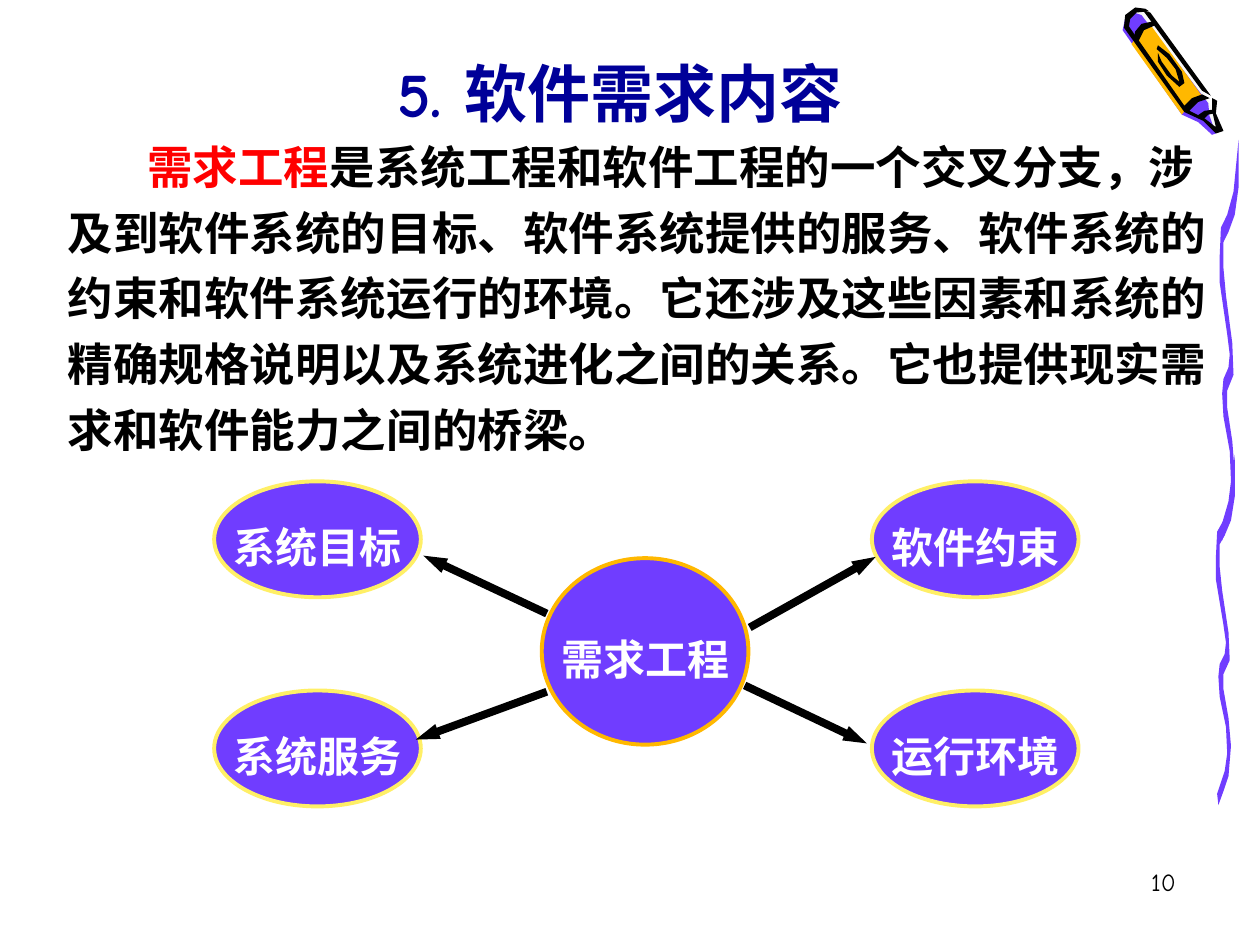
"""Build the slide on the content of software requirements."""
from lxml import etree
from pptx import Presentation
from pptx.dml.color import RGBColor
from pptx.enum.shapes import MSO_CONNECTOR, MSO_SHAPE
from pptx.enum.text import MSO_ANCHOR, PP_ALIGN
from pptx.oxml.ns import qn
from pptx.util import Inches, Pt

LEFT, CENTER, RIGHT = PP_ALIGN.LEFT, PP_ALIGN.CENTER, PP_ALIGN.RIGHT
TOP, MIDDLE, BOTTOM = MSO_ANCHOR.TOP, MSO_ANCHOR.MIDDLE, MSO_ANCHOR.BOTTOM
ELLIPSE, STRAIGHT = MSO_SHAPE.OVAL, MSO_CONNECTOR.STRAIGHT

THEME = {
    "violet": "703DFF", "amber": "FFB800", "yellow": "FFEF66",
    "navy": "000099", "red": "FF0000", "black": "000000",
    "white": "FFFFFF", "pale": "F8F8F8",
    "display": "Comic Neue", "cjk": "Noto Sans CJK SC", "serif": "Times New Roman",
    "title": 36, "body": 26, "node": 24, "number": 14,
    "outline": 2.25, "arrow": 4.5,
}

TITLE = "5. 软件需求内容"
NUMBER = "10"
KEY_TERM = "需求工程"
BODY = [
    "是系统工程和软件工程的一个交叉分支，涉",
    "及到软件系统的目标、软件系统提供的服务、软件系统的",
    "约束和软件系统运行的环境。它还涉及这些因素和系统的",
    "精确规格说明以及系统进化之间的关系。它也提供现实需",
    "求和软件能力之间的桥梁。",
]
TOPICS = [["系统目标", "软件约束"], ["系统服务", "运行环境"]]
TOPIC_X, TOPIC_Y, TOPIC_SIZE = (1.7, 6.92), (3.82, 5.48), (1.64, 0.92)
HUB = (4.3, 4.43, 1.64, 1.48)
ARROWS = [
    (5.95, 4.98, 6.95, 4.42), (5.91, 5.44, 6.88, 5.9),
    (4.34, 4.87, 3.36, 4.41), (4.34, 5.49, 3.3, 5.87),
]

RIBBON = [
    (0.01, 2.69), (0.07, 2.51), (0.09, 2.37), (0.08, 2.16), (0.03, 1.92),
    (0.02, 1.76), (0.03, 1.66), (0.07, 1.58), (0.08, 1.49), (0.06, 1.35),
    (0, 0.99), (0, 0.81), (0.01, 0.61), (0.06, 0.52), (0.11, 0.36),
    (0.15, 0), (0.15, 0.33), (0.12, 0.52), (0.07, 0.64), (0.03, 0.71),
    (0.03, 0.89), (0.05, 1.08), (0.1, 1.41), (0.11, 1.63), (0.06, 1.74),
    (0.06, 1.86), (0.1, 2.09), (0.12, 2.31), (0.1, 2.55), (0.06, 2.67),
    (0.02, 2.78),
]
RIBBON_PLACES = [(9.65, 3.61, 1), (9.68, 1.11, 1.144)]
CRAYON = [
    ("pale", [(9.68, 1.02), (9.63, 0.88), (9.52, 0.66), (9.09, 0.09), (9.02, 0.07),
              (8.96, 0.12), (8.94, 0.22), (9.41, 0.88), (9.56, 0.95), (9.66, 1.04)]),
    ("violet", [(9.06, 0.12), (9.59, 0.82), (9.6, 0.92), (9.65, 1.06), (9.62, 1.07),
                (9.51, 0.97), (9.38, 0.91), (8.91, 0.24), (8.93, 0.15), (9, 0.1)]),
    ("amber", [(8.98, 0.35), (9.38, 0.91), (9.46, 0.81), (9.56, 0.79), (9.14, 0.21),
               (9.05, 0.25)]),
    ("black", [(9.63, 0.87), (9.56, 0.88), (9.5, 0.92), (9.56, 0.94), (9.59, 0.91),
               (9.64, 0.9)]),
    ("black", [(9.09, 0.07), (9.01, 0.06), (8.93, 0.12), (8.92, 0.22), (9.4, 0.89),
               (9.55, 0.96), (9.65, 1.06), (9.71, 1.04), (9.65, 0.9), (9.66, 0.8),
               (9.62, 0.78), (9.62, 0.88), (9.65, 1.01), (9.56, 0.94), (9.44, 0.88),
               (9.51, 0.81), (9.6, 0.78), (9.54, 0.75), (9.46, 0.78), (9.4, 0.84),
               (8.96, 0.21), (8.97, 0.15), (9.02, 0.1), (9.12, 0.09)]),
    ("black", [(9.13, 0.1), (9.61, 0.76), (9.54, 0.72), (9.07, 0.08)]),
    ("black", [(9.15, 0.17), (9.06, 0.19), (9.01, 0.25), (9, 0.3), (9.03, 0.34),
               (9.08, 0.24), (9.17, 0.2)]),
    ("black", [(9.18, 0.39), (9.26, 0.46), (9.33, 0.55), (9.36, 0.65), (9.3, 0.6),
               (9.22, 0.49), (9.19, 0.42), (9.19, 0.49), (9.26, 0.6), (9.36, 0.69),
               (9.4, 0.66), (9.38, 0.57), (9.28, 0.43), (9.19, 0.36)]),
]


def color(name):
    return RGBColor.from_string(THEME[name])


def style(r, size, font, fill, bold=True):
    r.font.size = Pt(THEME[size])
    r.font.bold = bold
    r.font.color.rgb = color(fill)
    r.font.name = THEME[font]
    ea = etree.SubElement(r.font._element, qn("a:ea"))
    ea.set("typeface", THEME["cjk"])


def add_text(s, box, lines, size, font, fill, align=LEFT, anchor=TOP, bold=True):
    tf = s.shapes.add_textbox(*map(Inches, box)).text_frame
    tf.word_wrap = True
    tf.vertical_anchor = anchor
    tf.text = "\n".join(lines)
    for p in tf.paragraphs:
        p.alignment = align
        for r in p.runs:
            style(r, size, font, fill, bold)
    return tf


def add_outline(s, points, fill):
    start, *rest = [(Inches(x), Inches(y)) for x, y in points]
    fb = s.shapes.build_freeform(*start)
    fb.add_line_segments(rest, close=True)
    sp = fb.convert_to_shape()
    sp.shadow.inherit = False
    sp.fill.solid()
    sp.fill.fore_color.rgb = color(fill)
    sp.line.fill.background()


def add_node(s, box, text, line):
    sp = s.shapes.add_shape(ELLIPSE, *map(Inches, box))
    sp.shadow.inherit = False
    sp.fill.solid()
    sp.fill.fore_color.rgb = color("violet")
    sp.line.color.rgb = color(line)
    sp.line.width = Pt(THEME["outline"])
    tf = sp.text_frame
    tf.word_wrap = False
    tf.vertical_anchor = MIDDLE
    tf.text = text
    p = tf.paragraphs[0]
    p.alignment = CENTER
    p.line_spacing = 1.3
    style(p.runs[0], "node", "serif", "white")


def add_arrow(s, ends):
    c = s.shapes.add_connector(STRAIGHT, *map(Inches, ends))
    c.line.color.rgb = color("black")
    c.line.width = Pt(THEME["arrow"])
    ln = c.line._get_or_add_ln()
    etree.SubElement(ln, qn("a:tailEnd"), type="triangle", w="sm", len="med")
    etree.SubElement(c._element.spPr, qn("a:effectLst"))


def add_body(s):
    tf = add_text(s, (0.44, 1.01, 9.39, 2.67), BODY, "body", "cjk", "black")
    first, *others = tf.paragraphs
    first.text = KEY_TERM
    first.add_run().text = BODY[0]
    for r, fill in zip(first.runs, ("red", "black")):
        style(r, "body", "cjk", fill)
    first._p.get_or_add_pPr().set("indent", str(Inches(0.63)))
    for p in tf.paragraphs:
        p.line_spacing = 1.1
    for p in others:
        p.space_before = Pt(3.3)


def main():
    prs = Presentation()
    prs.slide_width, prs.slide_height = Inches(10), Inches(7.5)
    s = prs.slides.add_slide(prs.slide_layouts[6])
    for left, top, stretch in RIBBON_PLACES:
        add_outline(s, [(left + x, top + y * stretch) for x, y in RIBBON], "violet")
    for fill, points in CRAYON:
        add_outline(s, points, fill)
    add_text(s, (7.35, 6.83, 2.08, 0.5), [NUMBER], "number", "display", "black",
             RIGHT, bold=False)
    add_body(s)
    add_node(s, HUB, KEY_TERM, "amber")
    for y, row in zip(TOPIC_Y, TOPICS):
        for x, topic in zip(TOPIC_X, row):
            add_node(s, (x, y, *TOPIC_SIZE), topic, "yellow")
    for ends in ARROWS:
        add_arrow(s, ends)
    add_text(s, (0.67, 0.33, 8.5, 0.75), [TITLE], "title", "display", "navy",
             CENTER, BOTTOM)
    prs.save("out.pptx")


if __name__ == "__main__":
    main()
